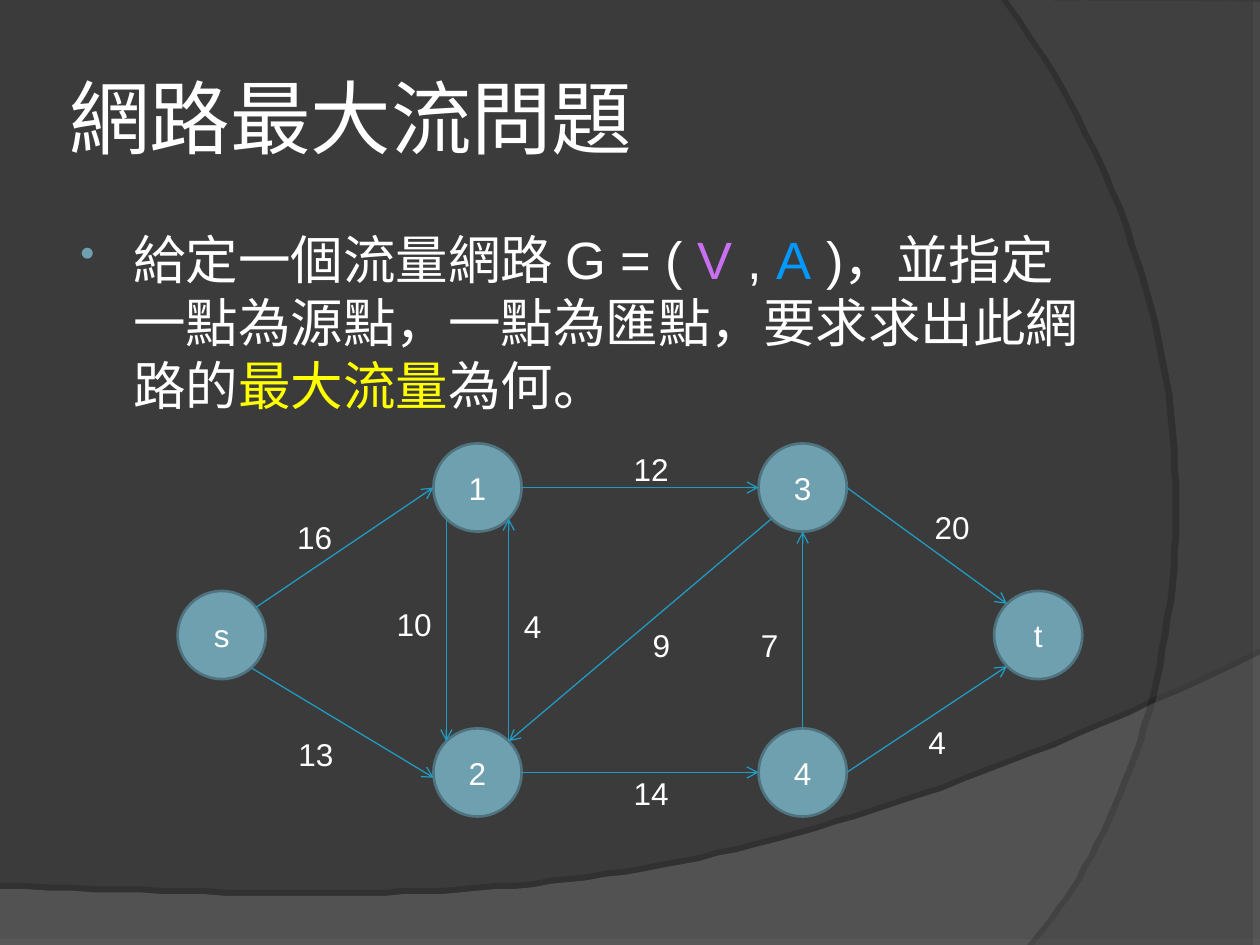
from math import cos, radians, sin

from lxml import etree
from pptx import Presentation
from pptx.dml.color import RGBColor
from pptx.enum.shapes import MSO_CONNECTOR, MSO_SHAPE
from pptx.enum.text import MSO_ANCHOR, PP_ALIGN
from pptx.oxml.ns import qn
from pptx.util import Pt

STRAIGHT = MSO_CONNECTOR.STRAIGHT
OVAL = MSO_SHAPE.OVAL
MIDDLE = MSO_ANCHOR.MIDDLE
CENTER = PP_ALIGN.CENTER

COLORS = {
    "bg": "3B3B3B", "wave": "7C7C7C", "arc": "595959", "shadow": "000000",
    "text": "FFFFFF", "node": "6EA0B0", "ring": "4F7480", "edge": "219AC1",
    "vertices": "C96FF1", "arcs": "0099FF", "answer": "FFFF00",
}
FONT = "Arial"
NODE_SIZE = 50.4
NODES = {
    "s": (0, 84.3), "1": (146.2, 0), "2": (146.2, 162.8),
    "4": (332, 162.8), "3": (332, 0), "t": (466.6, 84.3),
}
# start, start angle, end, end angle, capacity, label left, label top
EDGES = [
    ("s", -39, "1", 180, "16", 61.2, 38.9),
    ("s", 48, "2", 173, "13", 61.9, 162.8),
    ("1", 135, "2", 225, "10", 118.1, 88.6),
    ("2", -45, "1", 45, "4", 190.8, 90),
    ("3", 135, "2", -45, "9", 264.3, 100.8),
    ("1", 0, "3", 180, "12", 253.5, 0),
    ("4", -90, "3", 90, "7", 326.2, 100.8),
    ("2", 0, "4", 180, "14", 253.5, 185.1),
    ("3", 0, "t", 225, "20", 425.5, 33.2),
    ("4", 0, "t", 135, "4", 421.9, 156.3),
]


def rgb(name):
    return RGBColor.from_string(COLORS[name])


def add(parent, tag, **attrs):
    return etree.SubElement(parent, qn(tag), attrs)


def style_font(p, size, name=FONT):
    p.font.size = Pt(size)
    p.font.name = name
    p.font.color.rgb = rgb("text")


def add_box(slide, left, top, width, height, wrap=True):
    sp = slide.shapes.add_textbox(Pt(left), Pt(top), Pt(width), Pt(height))
    tf = sp.text_frame
    tf.word_wrap = wrap
    return tf


def curve(p0, p1, p2, p3, steps=60):
    points = []
    for i in range(1, steps + 1):
        t = i / steps
        u = 1 - t
        points.append(tuple(
            u**3 * a + 3 * u * u * t * b + 3 * u * t * t * c + t**3 * d
            for a, b, c, d in zip(p0, p1, p2, p3)))
    return points


def add_swoosh(slide, points, color, alpha, shadow_alpha, dist, angle):
    builder = slide.shapes.build_freeform(*points[0], scale=Pt(1))
    builder.add_line_segments(points[1:], close=True)
    sp = builder.convert_to_shape()
    sp.fill.solid()
    sp.fill.fore_color.rgb = rgb(color)
    sp.line.fill.background()
    fill = sp._element.spPr.find(qn("a:solidFill"))
    add(fill[0], "a:alpha", val=str(alpha * 1000))
    effects = add(sp._element.spPr, "a:effectLst")
    shadow = add(effects, "a:outerShdw", blurRad="0", dist=str(Pt(dist)),
                 dir=str(angle * 60000), algn="ctr", rotWithShape="0")
    clr = add(shadow, "a:srgbClr", val=COLORS["shadow"])
    add(clr, "a:alpha", val=str(shadow_alpha * 1000))


def add_backdrop(slide, width, height):
    slide.background.fill.solid()
    slide.background.fill.fore_color.rgb = rgb("bg")
    wave = [(0, 507.6), (0, height), (width, height), (width, 374.4)]
    wave += curve(wave[-1], (402.5, 524.9), (281.5, 517.7), wave[0])
    add_swoosh(slide, wave, "wave", 45, 35, 3.5, 270)
    arc = [(width, 1.4), (width, height), (591.1, height)]
    arc += curve(arc[-1], (673.2, 445.7), (733, 216), (576, 0))
    add_swoosh(slide, arc, "arc", 40, 45, 4, 180)


def add_title(slide, left, top, width, height):
    tf = add_box(slide, left, top, width, height)
    tf.vertical_anchor = MIDDLE
    tf.margin_left = tf.margin_right = Pt(3.6)
    p = tf.paragraphs[0]
    p.text = "網路最大流問題"
    style_font(p, 46, "Karla")


def add_problem(slide, left, top, width, height):
    p = add_box(slide, left, top, width, height).paragraphs[0]
    pPr = p._p.get_or_add_pPr()
    pPr.set("marL", str(Pt(33.1)))
    pPr.set("indent", str(Pt(-30.2)))
    add(add(pPr, "a:buClr"), "a:srgbClr", val=COLORS["node"])
    add(pPr, "a:buSzPct", val="80000")
    add(pPr, "a:buChar", char="•")
    style_font(p, 30)
    for text, color in [
        ("給定一個流量網路 G = ( ", "text"), ("V", "vertices"),
        (" , ", "text"), ("A", "arcs"),
        (" )，並指定一點為源點，一點為匯點，要求求出此網路的", "text"),
        ("最大流量", "answer"), ("為何。", "text"),
    ]:
        r = p.add_run()
        r.text = text
        r.font.color.rgb = rgb(color)


def add_node(slide, name, left, top):
    sp = slide.shapes.add_shape(OVAL, Pt(left), Pt(top), Pt(NODE_SIZE), Pt(NODE_SIZE))
    sp.shadow.inherit = False
    sp.fill.solid()
    sp.fill.fore_color.rgb = rgb("node")
    sp.line.color.rgb = rgb("ring")
    sp.line.width = Pt(1.5)
    sp.text_frame.vertical_anchor = MIDDLE
    p = sp.text_frame.paragraphs[0]
    p.text = name
    p.alignment = CENTER
    style_font(p, 18)


def add_arrow(slide, start, end):
    line = slide.shapes.add_connector(STRAIGHT, *map(Pt, start + end))
    line.line.color.rgb = rgb("edge")
    line.line.width = Pt(0.75)
    add(line.line._get_or_add_ln(), "a:tailEnd", type="arrow")
    add(line._element.spPr, "a:effectLst")


def add_label(slide, text, left, top):
    p = add_box(slide, left, top, 14.4 + 10 * len(text), 28.8, wrap=False).paragraphs[0]
    p.text = text
    style_font(p, 18)


def add_network(slide, left, top):
    def rim(name, angle):
        x, y = NODES[name]
        radius = NODE_SIZE / 2
        return (left + x + radius * (1 + cos(radians(angle))),
                top + y + radius * (1 + sin(radians(angle))))

    for name, (x, y) in NODES.items():
        add_node(slide, name, left + x, top + y)
    for start, start_angle, end, end_angle, capacity, x, y in EDGES:
        add_arrow(slide, rim(start, start_angle), rim(end, end_angle))
        add_label(slide, capacity, left + x, top + y)


def main():
    prs = Presentation()
    prs.slide_width, prs.slide_height = Pt(720), Pt(540)
    slide = prs.slides.add_slide(prs.slide_layouts[6])
    add_backdrop(slide, 720, 540)
    add_title(slide, 36, 21.6, 588.2, 90)
    add_problem(slide, 36, 126, 588.2, 356.4)
    add_network(slide, 101.5, 253.4)
    prs.save("out.pptx")


if __name__ == "__main__":
    main()
